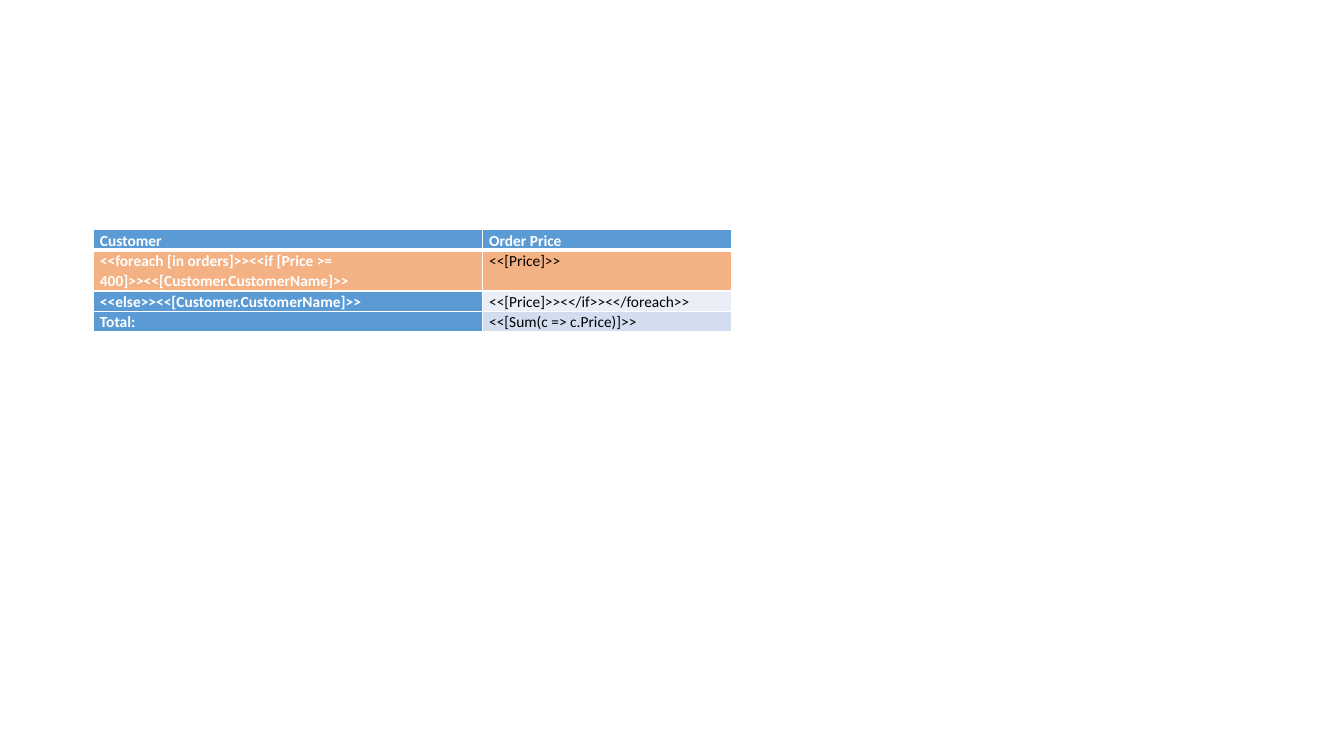
from pptx import Presentation
from pptx.dml.color import RGBColor
from pptx.oxml import parse_xml
from pptx.oxml.ns import nsdecls
from pptx.util import Pt

WHITE = RGBColor(0xFF, 0xFF, 0xFF)
BLACK = RGBColor(0x00, 0x00, 0x00)
BLUE = RGBColor(0x5B, 0x9B, 0xD5)
ORANGE = RGBColor(0xF4, 0xB1, 0x83)
PALE = RGBColor(0xEA, 0xEF, 0xF7)
LIGHT = RGBColor(0xD2, 0xDE, 0xEF)

WIDTHS = [278, 178.4]
LINE = 14.3
# Each row: lines of text, then (text, fill) for each cell
ORDERS = [
    (1, [("Customer", BLUE), ("Order Price", BLUE)]),
    (2, [("<<foreach [in orders]>><<if [Price >= 400]>><<[Customer.CustomerName]>>", ORANGE),
         ("<<[Price]>>", ORANGE)]),
    (1, [("<<else>><<[Customer.CustomerName]>>", BLUE),
         ("<<[Price]>><</if>><</foreach>>", PALE)]),
    (1, [("Total:", BLUE), ("<<[Sum(c => c.Price)]>>", LIGHT)]),
]


def add_edge(cell, side, width):
    """Draw one white border; call before the fill is set."""
    cell._tc.get_or_add_tcPr().append(parse_xml(
        f'<a:ln{side} {nsdecls("a")} w="{Pt(width)}"><a:solidFill>'
        f'<a:srgbClr val="{WHITE}"/></a:solidFill></a:ln{side}>'))


def fill_cell(cell, text, fill, head, edges):
    for side, width in edges.items():
        add_edge(cell, side, width)
    cell.fill.solid()
    cell.fill.fore_color.rgb = fill
    cell.margin_left = cell.margin_right = Pt(5)
    cell.margin_top = cell.margin_bottom = Pt(0)
    cell.text_frame.text = text
    para = cell.text_frame.paragraphs[0]
    para.line_spacing = 1.07
    font = para.runs[0].font
    font.name = "Calibri"
    font.size = Pt(11)
    font.bold = head
    font.color.rgb = WHITE if head else BLACK


def add_orders(slide):
    height = LINE * sum(lines for lines, _ in ORDERS)
    table = slide.shapes.add_table(
        len(ORDERS), len(WIDTHS), Pt(66.4), Pt(164.2),
        Pt(sum(WIDTHS)), Pt(height)).table
    for column, width in zip(table.columns, WIDTHS):
        column.width = Pt(width)
    for r, (lines, cells) in enumerate(ORDERS):
        table.rows[r].height = Pt(LINE * lines)
        edges = {"L": 1, "R": 1, "T": 3 if r == 1 else 1, "B": 3 if r == 0 else 1}
        for c, (text, fill) in enumerate(cells):
            fill_cell(table.cell(r, c), text, fill, r == 0 or c == 0, edges)


def main():
    deck = Presentation()
    deck.slide_width, deck.slide_height = Pt(960), Pt(540)
    slide = deck.slides.add_slide(deck.slide_layouts[6])
    add_orders(slide)
    deck.save("out.pptx")


if __name__ == "__main__":
    main()
